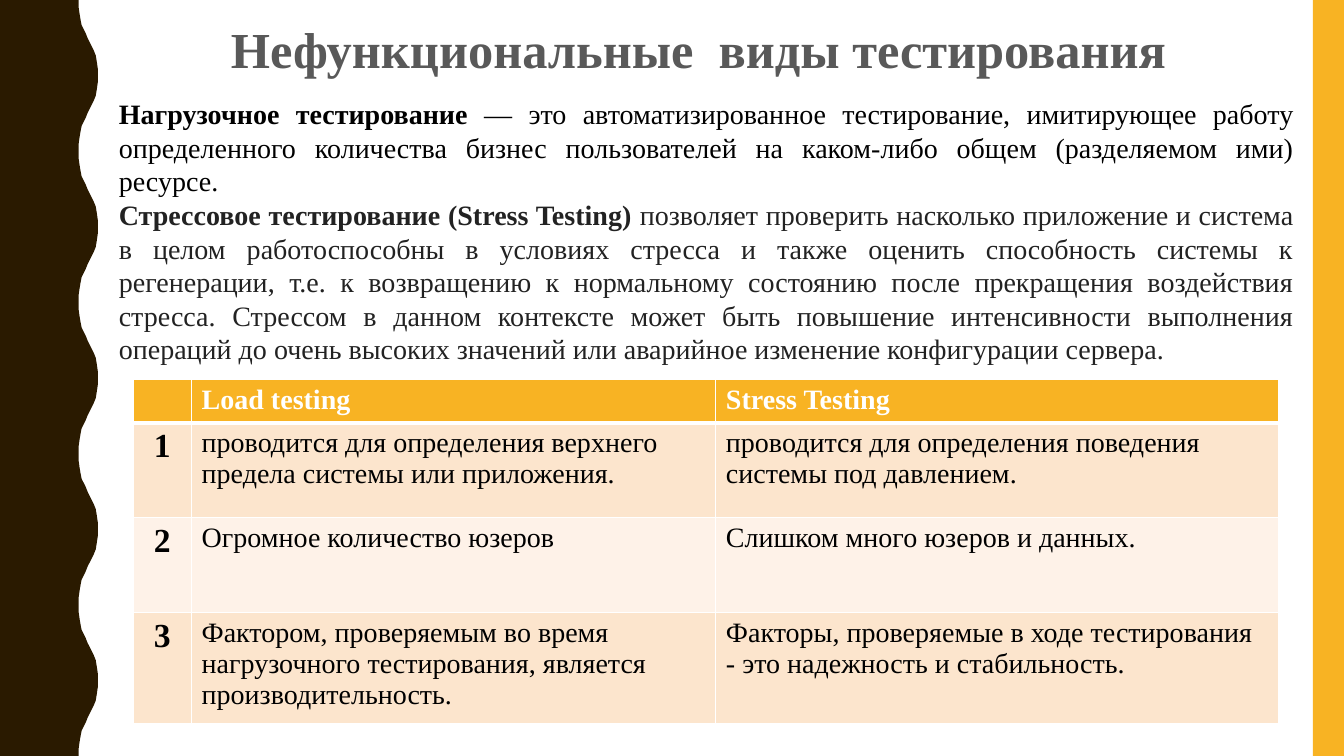
import pptx
import pptx.dml.color
import pptx.enum.shapes
import pptx.enum.text
import pptx.oxml.ns
import pptx.util
from lxml import etree

Inches = pptx.util.Inches
ALIGN = pptx.enum.text.PP_ALIGN
ANCHOR = pptx.enum.text.MSO_ANCHOR
FACE = "Times New Roman"
GOLD, BROWN, WHITE, BLACK = "F8B323", "2A1A00", "FFFFFF", "000000"
BANDS = ["FCE5CD", "FEF2E8"]
HALF = [(0.78, 0), (0.78, 0.07), (0.79, 0.14), (0.8, 0.2), (0.81, 0.25),
        (0.83, 0.29), (0.85, 0.33), (0.87, 0.38), (0.89, 0.42), (0.91, 0.46),
        (0.93, 0.5), (0.95, 0.55), (0.96, 0.61), (0.97, 0.68), (0.97, 0.75)]
PERIOD = 1.5

TITLE = "Нефункциональные  виды тестирования"
TERMS = [
    [("Нагрузочное тестирование ", True, BLACK),
     ("— это автоматизированное тестирование, имитирующее работу определенного "
      "количества бизнес пользователей на каком-либо общем (разделяемом ими) ресурсе.",
      False, BLACK)],
    [("Стрессовое тестирование (Stress Testing) ", True, "222222"),
     ("позволяет проверить насколько приложение и система в целом работоспособны "
      "в условиях стресса и также оценить способность системы к регенерации, т.е. "
      "к возвращению к нормальному состоянию после прекращения воздействия стресса. "
      "Стрессом в данном контексте может быть повышение интенсивности выполнения "
      "операций до очень высоких значений или аварийное изменение конфигурации сервера.",
      False, "222222")],
]
ROWS = [
    ("", "Load testing", "Stress Testing"),
    ("1", "проводится для определения верхнего предела системы или приложения.",
     "проводится для определения поведения системы под давлением."),
    ("2", "Огромное количество юзеров", "Слишком много юзеров и данных."),
    ("3", "Фактором, проверяемым во время нагрузочного тестирования, является "
     "производительность.",
     "Факторы, проверяемые в ходе тестирования - это надежность и стабильность."),
]
WIDTHS = [0.58, 5.2, 5.58]
HEIGHTS = [0.42, 0.94, 0.94, 0.94]


def color(code):
    return pptx.dml.color.RGBColor.from_string(code)


def style(item, values):
    for name, value in values.items():
        setattr(item, name, value)


def paint(shape, code):
    shape.fill.solid()
    shape.fill.fore_color.rgb = color(code)
    shape.line.fill.background()
    shape.shadow.inherit = False


def write(para, text, size, bold, code):
    run = para.add_run()
    run.text = text
    style(run.font, {"name": FACE, "size": pptx.util.Pt(size), "bold": bold})
    run.font.color.rgb = color(code)


def add_wave(slide):
    back = [(x, PERIOD - y) for x, y in HALF[-2::-1]]
    edge = [(x, y + PERIOD * i) for i in range(5) for x, y in HALF + back]
    points = [(Inches(x), Inches(y)) for x, y in edge + [(0, 7.5)]]
    form = slide.shapes.build_freeform(0, 0)
    form.add_line_segments(points, close=True)
    paint(form.convert_to_shape(), BROWN)


def add_bar(slide):
    kind = pptx.enum.shapes.MSO_SHAPE.RECTANGLE
    bar = slide.shapes.add_shape(kind, Inches(13.02), 0, Inches(0.31), Inches(7.5))
    paint(bar, GOLD)


def add_text(slide, place, paras, size, frame, form):
    box = slide.shapes.add_textbox(*map(Inches, place)).text_frame
    style(box, {"word_wrap": True, **frame})
    for i, runs in enumerate(paras):
        para = box.add_paragraph() if i else box.paragraphs[0]
        style(para, form)
        for text, bold, code in runs:
            write(para, text, size, bold, code)


def add_edge(props, side, width):
    qn = pptx.oxml.ns.qn
    line = etree.SubElement(props, qn(f"a:ln{side}"), w=str(pptx.util.Pt(width)))
    fill = etree.SubElement(line, qn("a:solidFill"))
    etree.SubElement(fill, qn("a:srgbClr"), val=WHITE)


def fill_cell(cell, text, row, col):
    head = row == 0
    props = cell._tc.get_or_add_tcPr()
    for side in "LRTB":
        thick = (head and side == "B") or (row == 1 and side == "T")
        add_edge(props, side, 3 if thick else 1)
    cell.fill.solid()
    cell.fill.fore_color.rgb = color(GOLD if head else BANDS[(row - 1) % 2])
    if text:
        para = cell.text_frame.paragraphs[0]
        para.alignment = ALIGN.LEFT if col else ALIGN.CENTER
        write(para, text, 20 if col else 24, head or col == 0, WHITE if head else BLACK)


def add_grid(slide):
    place = map(Inches, (1.32, 3.76, sum(WIDTHS), sum(HEIGHTS)))
    table = slide.shapes.add_table(len(ROWS), len(WIDTHS), *place).table
    for col, width in zip(table.columns, WIDTHS):
        col.width = Inches(width)
    for i, (texts, height) in enumerate(zip(ROWS, HEIGHTS)):
        table.rows[i].height = Inches(height)
        for j, text in enumerate(texts):
            fill_cell(table.cell(i, j), text, i, j)


def main():
    deck = pptx.Presentation()
    style(deck, {"slide_width": Inches(13.33), "slide_height": Inches(7.5)})
    slide = deck.slides.add_slide(deck.slide_layouts[6])
    add_wave(slide)
    add_bar(slide)
    add_text(slide, (0.8, 0.03, 12.26, 0.84), [[(TITLE, True, "595959")]], 36,
             {"vertical_anchor": ANCHOR.MIDDLE},
             {"alignment": ALIGN.CENTER, "line_spacing": 1.1})
    add_text(slide, (1.08, 0.91, 11.85, 2.79), TERMS, 20,
             {"vertical_anchor": ANCHOR.TOP},
             {"alignment": ALIGN.JUSTIFY, "line_spacing": 1.0})
    add_grid(slide)
    deck.save("out.pptx")


if __name__ == "__main__":
    main()
